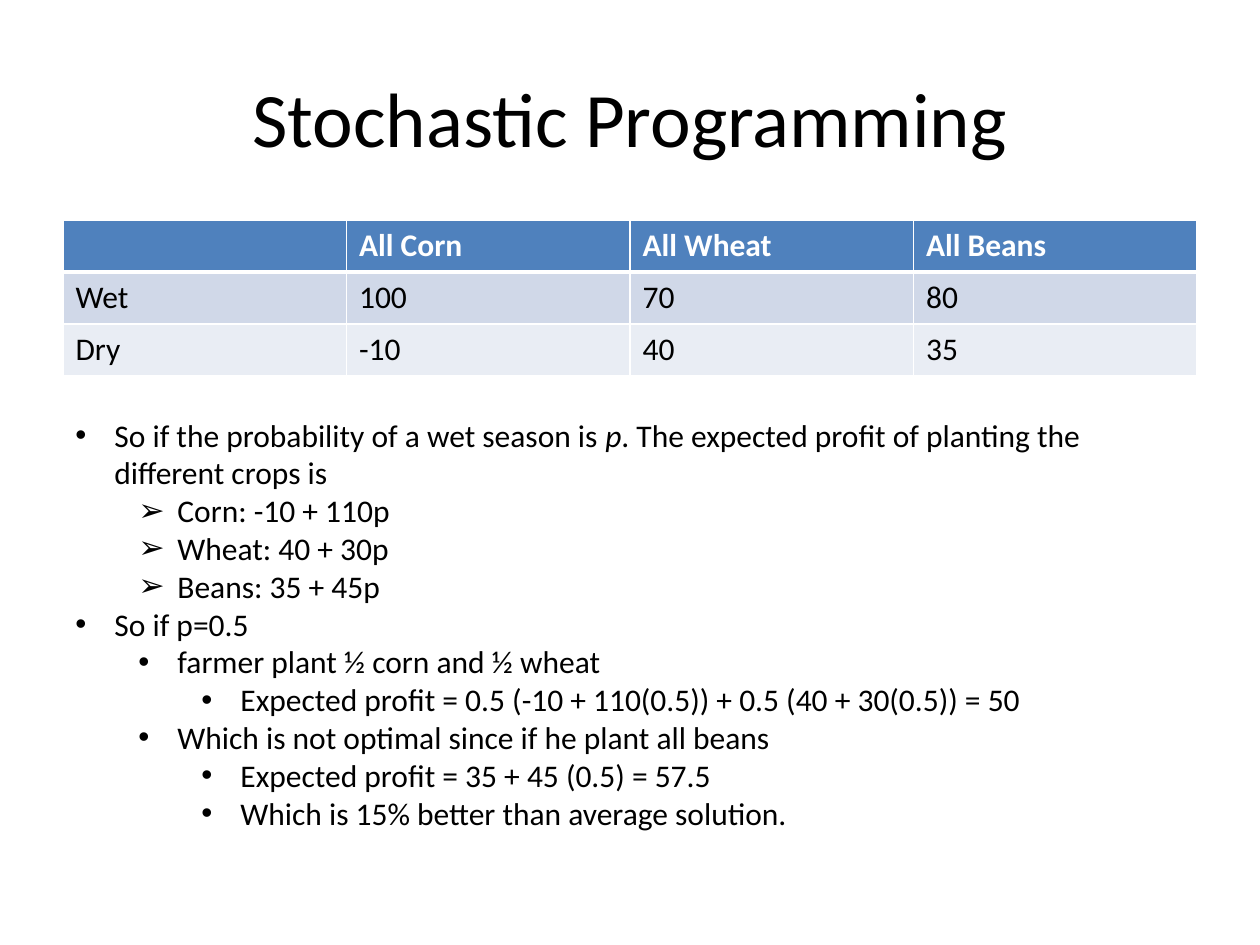
from dataclasses import dataclass

from lxml.etree import SubElement
from pptx import Presentation
from pptx.dml.color import RGBColor
from pptx.enum.text import MSO_ANCHOR as Anchor, MSO_AUTO_SIZE as AutoSize, PP_ALIGN as Align
from pptx.oxml.ns import qn
from pptx.util import Inches, Pt


@dataclass(frozen=True)
class Theme:
    font: str = "Calibri"
    title_size: int = 44
    body_size: int = 18
    ink: str = "000000"
    paper: str = "FFFFFF"
    header: str = "4F81BD"
    bands: tuple[str, ...] = ("D0D8E8", "E9EDF4")
    rule: int = 1
    header_rule: int = 3


@dataclass(frozen=True)
class Span:
    text: str
    italic: bool = False


@dataclass(frozen=True)
class Bullet:
    level: int
    spans: tuple[Span, ...]
    mark: str = "•"


THEME = Theme()
HANG = 0.31
LEVEL_STEP = 0.5

PROFITS = (
    ("", "All Corn", "All Wheat", "All Beans"),
    ("Wet", "100", "70", "80"),
    ("Dry", "-10", "40", "35"),
)

BULLETS = (
    Bullet(0, (
        Span("So if the probability of a wet season is "),
        Span("p", italic=True),
        Span(". The expected proﬁt of planting the diﬀerent crops is"),
    )),
    Bullet(1, (Span("Corn: -10 + 110p"),), "➢"),
    Bullet(1, (Span("Wheat: 40 + 30p"),), "➢"),
    Bullet(1, (Span("Beans: 35 + 45p"),), "➢"),
    Bullet(0, (Span("So if p=0.5"),)),
    Bullet(1, (Span("farmer plant ½ corn and ½ wheat"),)),
    Bullet(2, (Span("Expected profit = 0.5 (-10 + 110(0.5)) + 0.5 (40 + 30(0.5)) = 50"),)),
    Bullet(1, (Span("Which is not optimal since if he plant all beans"),)),
    Bullet(2, (Span("Expected profit = 35 + 45 (0.5) = 57.5"),)),
    Bullet(2, (Span("Which is 15% better than average solution."),)),
)


def add_span(para, span: Span, size: int, color: str, bold: bool = False) -> None:
    """Append one formatted run to a paragraph."""
    run = para.add_run()
    run.text = span.text
    font = run.font
    font.name, font.size = THEME.font, Pt(size)
    font.bold, font.italic = bold, span.italic
    font.color.rgb = RGBColor.from_string(color)


def add_title(page, text: str) -> None:
    """Place and fill the title placeholder."""
    title = page.shapes.title
    title.left, title.top = Inches(0.5), Inches(0.3)
    title.width, title.height = Inches(9), Inches(1.25)
    title.text_frame.vertical_anchor = Anchor.MIDDLE
    para = title.text_frame.paragraphs[0]
    para.alignment = Align.CENTER
    add_span(para, Span(text), THEME.title_size, THEME.ink)


def set_borders(cell, bottom: int) -> None:
    """Rule the four sides of a cell, with its own bottom width."""
    properties = cell._tc.get_or_add_tcPr()
    widths = {"lnL": THEME.rule, "lnR": THEME.rule, "lnT": THEME.rule, "lnB": bottom}
    for side, width in widths.items():
        line = SubElement(properties, qn(f"a:{side}"), w=str(Pt(width)))
        fill = SubElement(line, qn("a:solidFill"))
        SubElement(fill, qn("a:srgbClr"), val=THEME.paper)


def add_profit_table(page, rows: tuple[tuple[str, ...], ...]) -> None:
    """Draw the profit table with a header row and shaded bands."""
    frame = page.shapes.add_table(
        len(rows), len(rows[0]), Inches(0.5), Inches(1.75), Inches(9), Inches(1.23)
    )
    for row_index, row in enumerate(rows):
        is_header = row_index == 0
        shade = THEME.header if is_header else THEME.bands[row_index - 1]
        for column_index, text in enumerate(row):
            cell = frame.table.cell(row_index, column_index)
            set_borders(cell, THEME.header_rule if is_header else THEME.rule)
            cell.fill.solid()
            cell.fill.fore_color.rgb = RGBColor.from_string(shade)
            if text:
                color = THEME.paper if is_header else THEME.ink
                para = cell.text_frame.paragraphs[0]
                add_span(para, Span(text), THEME.body_size, color, is_header)


def set_bullet(para, bullet: Bullet) -> None:
    """Give a paragraph its level, hanging indent and mark."""
    para.level = bullet.level
    properties = para._p.get_or_add_pPr()
    properties.set("marL", str(Inches(HANG + LEVEL_STEP * bullet.level)))
    properties.set("indent", str(Inches(-HANG)))
    SubElement(properties, qn("a:buFont"), typeface="Arial")
    SubElement(properties, qn("a:buChar"), char=bullet.mark)


def add_bullets(page, bullets: tuple[Bullet, ...]) -> None:
    """Draw the bulleted explanation."""
    box = page.shapes.add_textbox(Inches(0.5), Inches(3.25), Inches(9.08), Inches(3.74))
    frame = box.text_frame
    frame.word_wrap = True
    frame.auto_size = AutoSize.SHAPE_TO_FIT_TEXT
    for index, bullet in enumerate(bullets):
        para = frame.add_paragraph() if index else frame.paragraphs[0]
        set_bullet(para, bullet)
        for span in bullet.spans:
            add_span(para, span, THEME.body_size, THEME.ink)


def main() -> None:
    """Build and save the deck."""
    deck = Presentation()
    deck.slide_width, deck.slide_height = Inches(10), Inches(7.5)
    page = deck.slides.add_slide(deck.slide_layouts[5])
    add_title(page, "Stochastic Programming")
    add_profit_table(page, PROFITS)
    add_bullets(page, BULLETS)
    deck.save("out.pptx")


if __name__ == "__main__":
    main()
